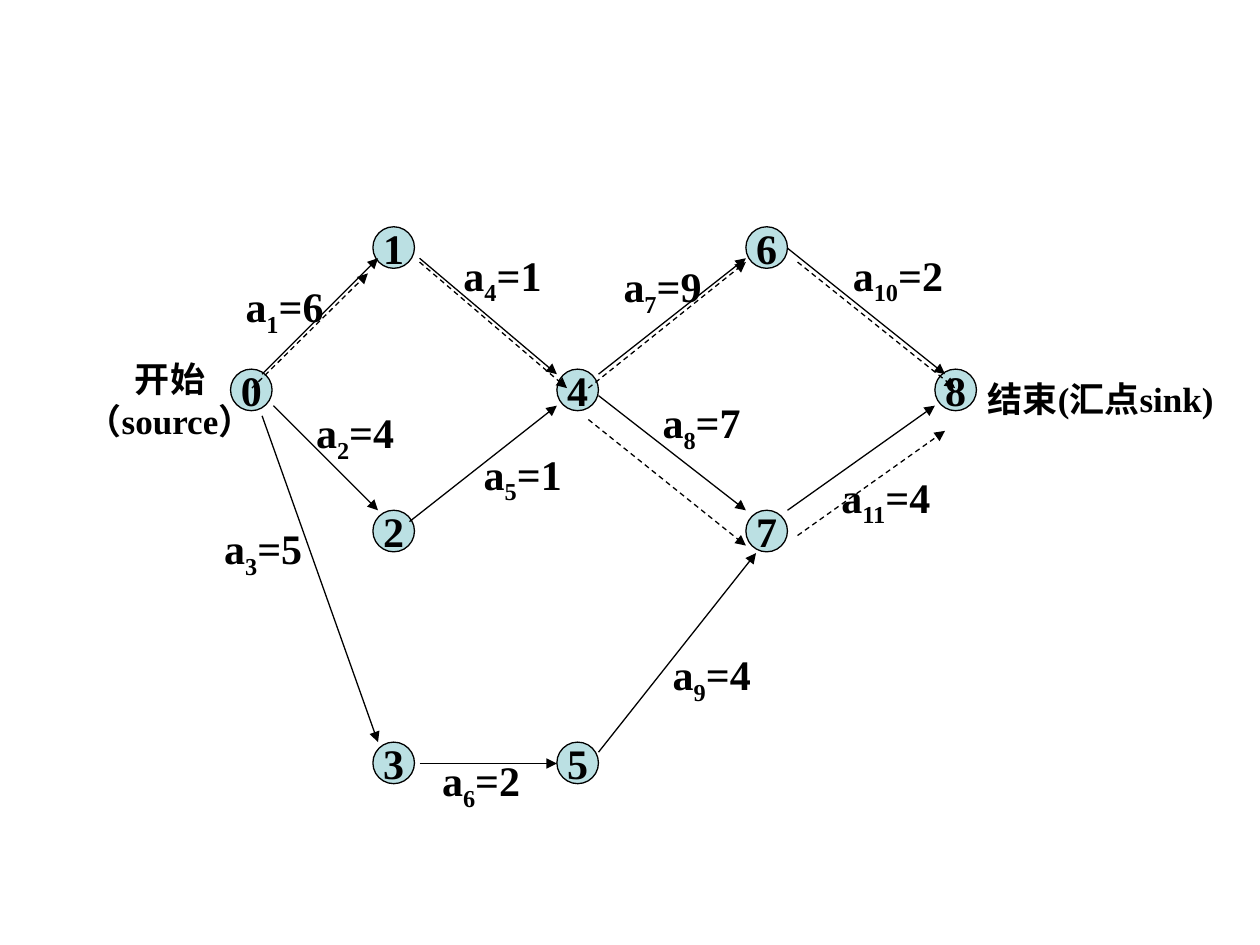
from dataclasses import dataclass
from typing import NamedTuple

from lxml.etree import SubElement
from pptx import Presentation
from pptx.dml.color import RGBColor
from pptx.enum.dml import MSO_LINE
from pptx.enum.shapes import MSO_CONNECTOR, MSO_SHAPE
from pptx.enum.text import MSO_ANCHOR, MSO_AUTO_SIZE, PP_ALIGN
from pptx.oxml.ns import qn
from pptx.slide import Slide
from pptx.text.text import TextFrame, _Paragraph
from pptx.util import Inches, Pt


@dataclass(frozen=True)
class Theme:
    ink: RGBColor = RGBColor(0x00, 0x00, 0x00)
    node_fill: RGBColor = RGBColor(0xBB, 0xE0, 0xE3)
    font: str = "Times New Roman"
    label_size: int = 24
    caption_size: int = 20
    line_width: float = 0.75


class Node(NamedTuple):
    name: str
    left: float
    top: float


class Arrow(NamedTuple):
    start: tuple[float, float]
    end: tuple[float, float]


class Weight(NamedTuple):
    index: int
    value: int
    left: float
    top: float


class Caption(NamedTuple):
    lines: tuple[str, ...]
    left: float
    top: float
    width: float
    height: float
    align: PP_ALIGN


THEME = Theme()
NODE_SIZE = 0.33

# Node columns and rows
START, FIRST, MIDDLE, THIRD, END = 1.83, 2.96, 4.42, 5.92, 7.42
UPPER, CENTRE, LOWER, BOTTOM = 1.8, 2.93, 4.05, 5.89

NODES = [
    Node("0", START, CENTRE),
    Node("2", FIRST, LOWER),
    Node("5", MIDDLE, BOTTOM),
    Node("3", FIRST, BOTTOM),
    Node("6", THIRD, UPPER),
    Node("1", FIRST, UPPER),
    Node("7", THIRD, LOWER),
    Node("4", MIDDLE, CENTRE),
    Node("8", END, CENTRE),
]

ACTIVITIES = [
    Arrow((2.08, 2.97), (3, 2.05)),
    Arrow((3.33, 2.05), (4.42, 2.97)),
    Arrow((4.75, 2.97), (5.92, 2.05)),
    Arrow((4.75, 3.14), (5.92, 4.05)),
    Arrow((2.17, 3.22), (3, 4.05)),
    Arrow((3.25, 4.14), (4.42, 3.22)),
    Arrow((2.08, 3.3), (3, 5.89)),
    Arrow((3.33, 6.06), (4.42, 6.06)),
    Arrow((4.75, 5.97), (6, 4.39)),
    Arrow((6.25, 4.05), (7.42, 3.22)),
    Arrow((6.25, 1.97), (7.5, 2.97)),
]

CRITICAL_PATH = [
    Arrow((2, 3.08), (2.92, 2.17)),
    Arrow((3.33, 2.08), (4.5, 3.08)),
    Arrow((4.67, 3.08), (5.92, 2.08)),
    Arrow((4.67, 3.33), (5.92, 4.33)),
    Arrow((6.33, 4.25), (7.5, 3.42)),
    Arrow((6.33, 2.08), (7.58, 3.08)),
]

WEIGHTS = [
    Weight(1, 6, 1.85, 2.18),
    Weight(4, 1, 3.58, 1.93),
    Weight(7, 9, 4.85, 2.02),
    Weight(10, 2, 6.67, 1.93),
    Weight(11, 4, 6.58, 3.69),
    Weight(8, 7, 5.16, 3.1),
    Weight(9, 4, 5.24, 5.1),
    Weight(6, 2, 3.41, 5.94),
    Weight(3, 5, 1.68, 4.1),
    Weight(2, 4, 2.41, 3.18),
    Weight(5, 1, 3.74, 3.51),
]

CAPTIONS = [
    Caption(("开始", "（source）"), 0.52, 2.79, 1.66, 0.77, PP_ALIGN.CENTER),
    Caption(("结束(汇点sink)",), 7.74, 2.95, 2.19, 0.44, PP_ALIGN.LEFT),
]


def style_paragraph(para: _Paragraph, size: int, align: PP_ALIGN) -> None:
    para.alignment = align
    para.font.name = THEME.font
    para.font.size = Pt(size)
    para.font.bold = True
    para.font.color.rgb = THEME.ink


def add_node(page: Slide, node: Node) -> None:
    circle = page.shapes.add_shape(
        MSO_SHAPE.OVAL, Inches(node.left), Inches(node.top), Inches(NODE_SIZE), Inches(NODE_SIZE)
    )
    circle.shadow.inherit = False
    circle.fill.solid()
    circle.fill.fore_color.rgb = THEME.node_fill
    circle.line.color.rgb = THEME.ink
    circle.line.width = Pt(THEME.line_width)
    frame = circle.text_frame
    frame.word_wrap = False
    frame.vertical_anchor = MSO_ANCHOR.MIDDLE
    frame.text = node.name
    style_paragraph(frame.paragraphs[0], THEME.label_size, PP_ALIGN.CENTER)


def add_arrow(page: Slide, arrow: Arrow, dashed: bool = False) -> None:
    ends = [Inches(length) for length in (*arrow.start, *arrow.end)]
    connector = page.shapes.add_connector(MSO_CONNECTOR.STRAIGHT, *ends)
    connector.line.color.rgb = THEME.ink
    connector.line.width = Pt(THEME.line_width)
    if dashed:
        connector.line.dash_style = MSO_LINE.DASH
    SubElement(connector.line._get_or_add_ln(), qn("a:tailEnd"), type="triangle")
    SubElement(connector._element.spPr, qn("a:effectLst"))


def add_text_frame(page: Slide, left: float, top: float, width: float, height: float) -> TextFrame:
    box = page.shapes.add_textbox(Inches(left), Inches(top), Inches(width), Inches(height))
    frame = box.text_frame
    frame.word_wrap = False
    frame.auto_size = MSO_AUTO_SIZE.SHAPE_TO_FIT_TEXT
    return frame


def add_weight(page: Slide, weight: Weight) -> None:
    # Two-digit subscripts need a wider box to stay on one line
    width = 0.82 if weight.index < 10 else 0.93
    para = add_text_frame(page, weight.left, weight.top, width, 0.56).paragraphs[0]
    style_paragraph(para, THEME.label_size, PP_ALIGN.LEFT)
    for text in ("a", str(weight.index), f"={weight.value}"):
        para.add_run().text = text
    subscript = para.runs[1]
    subscript._r.get_or_add_rPr().set("baseline", "-25000")


def add_caption(page: Slide, caption: Caption) -> None:
    frame = add_text_frame(page, caption.left, caption.top, caption.width, caption.height)
    frame.text = "\n".join(caption.lines)
    for para in frame.paragraphs:
        style_paragraph(para, THEME.caption_size, caption.align)


def main() -> None:
    deck = Presentation()
    deck.slide_width, deck.slide_height = Inches(10), Inches(7.5)
    page = deck.slides.add_slide(deck.slide_layouts[6])

    # Network of events and activities
    for node in NODES:
        add_node(page, node)
    for arrow in ACTIVITIES:
        add_arrow(page, arrow)
    for weight in WEIGHTS:
        add_weight(page, weight)

    # Critical path and end captions
    for arrow in CRITICAL_PATH:
        add_arrow(page, arrow, dashed=True)
    for caption in CAPTIONS:
        add_caption(page, caption)

    deck.save("out.pptx")


if __name__ == "__main__":
    main()
